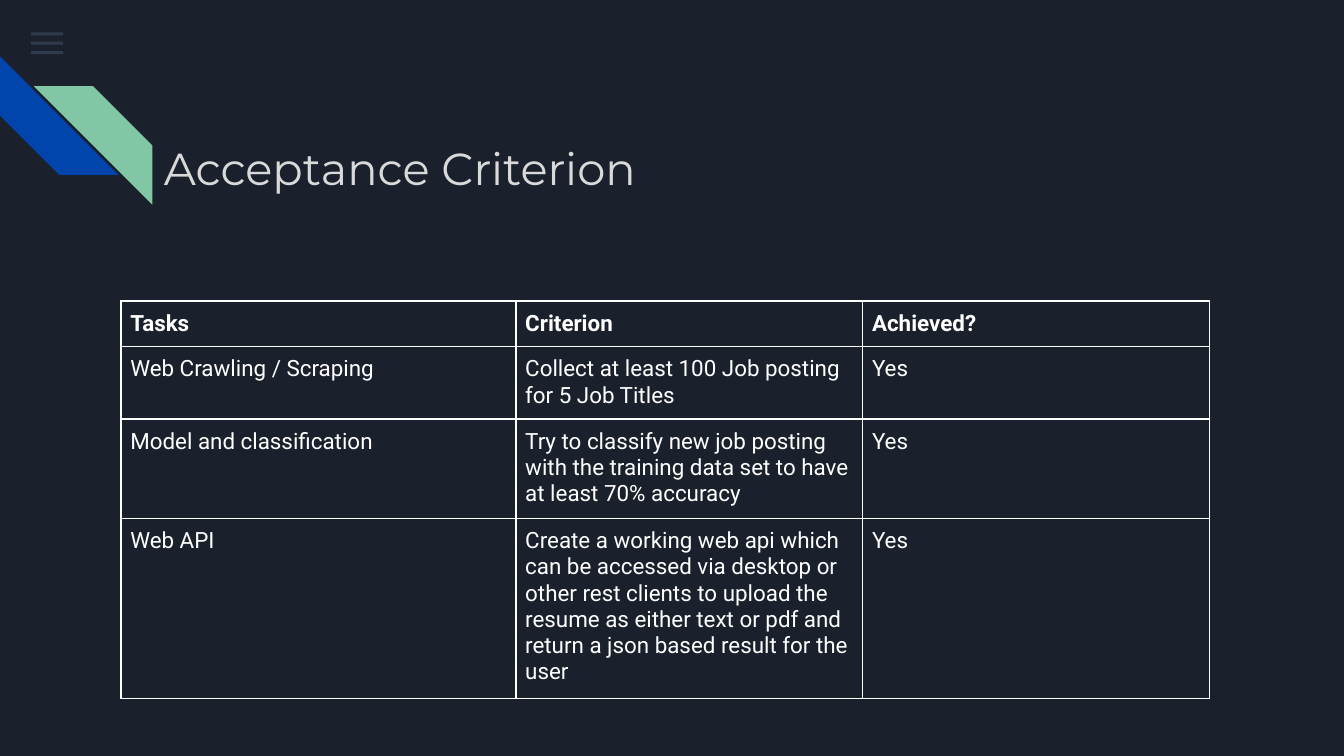
from dataclasses import dataclass

from lxml.etree import SubElement
from pptx import Presentation
from pptx.dml.color import RGBColor
from pptx.enum.shapes import MSO_SHAPE
from pptx.oxml.ns import qn
from pptx.util import Pt

RECT = MSO_SHAPE.RECTANGLE
STRIPE = MSO_SHAPE.DIAGONAL_STRIPE

HUES = {
    "back": "1B212C",
    "menu": "55688B",
    "blue": "0145AC",
    "green": "82C7A5",
    "title": "D9D9D9",
    "white": "FFFFFF",
}
HEAD = {"name": "Montserrat", "size": Pt(24), "bold": False}
BODY = {"name": "Roboto", "size": Pt(12), "bold": False}
BOLD = {**BODY, "bold": True}
SIDES = ("left", "right", "top", "bottom")
EDGES = ("a:lnL", "a:lnR", "a:lnT", "a:lnB")

WIDTHS = (211.6, 185.8, 185.8)
HEIGHTS = (24, 38, 52, 94)
ROWS = (
    ("Tasks", "Criterion", "Achieved?"),
    ("Web Crawling / Scraping",
     "Collect at least 100 Job posting for 5 Job Titles", "Yes"),
    ("Model and classification",
     "Try to classify new job posting with the training data set to have "
     "at least 70% accuracy", "Yes"),
    ("Web API",
     "Create a working web api which can be accessed via desktop or other "
     "rest clients to upload the resume as either text or pdf and return a "
     "json based result for the user", "Yes"),
)


@dataclass
class Form:
    kind: int
    left: float
    top: float
    width: float
    height: float
    hue: str
    turn: int = 0
    flip: bool = False
    alpha: int = 100


FORMS = [Form(RECT, 16.6, 17.4 + 5 * i, 17.3, 1.6, "menu", alpha=36)
         for i in range(3)]
FORMS += [
    Form(STRIPE, 0, 30.2, 63.5, 63.5, "blue", turn=270),
    Form(STRIPE, 18.2, 46.2, 63.5, 63.5, "green", flip=True),
]


def color(hue: str) -> RGBColor:
    return RGBColor.from_string(HUES[hue])


def style(font, form: dict, hue: str) -> None:
    for name, value in form.items():
        setattr(font, name, value)
    font.color.rgb = color(hue)


def pad(frame, sizes: tuple) -> None:
    for side, size in zip(SIDES, sizes):
        setattr(frame, f"margin_{side}", Pt(size))


def draw(slide, form: Form) -> None:
    shape = slide.shapes.add_shape(
        form.kind, Pt(form.left), Pt(form.top), Pt(form.width), Pt(form.height))
    shape.shadow.inherit = False
    shape.line.fill.background()
    shape.fill.solid()
    shape.fill.fore_color.rgb = color(form.hue)
    shape.rotation = form.turn
    props = shape._element.spPr
    if form.flip:
        props.find(qn("a:xfrm")).set("flipH", "1")
    if form.alpha < 100:
        tint = props.find(qn("a:solidFill")).find(qn("a:srgbClr"))
        SubElement(tint, qn("a:alpha"), val=str(form.alpha * 1000))


def title(slide, text: str) -> None:
    box = slide.shapes.add_textbox(Pt(44.6), Pt(54), Pt(590.4), Pt(327.6))
    frame = box.text_frame
    frame.word_wrap = True
    pad(frame, (43.2, 7.2, 7.2, 7.2))
    para = frame.paragraphs[0]
    para.line_spacing = 1.5
    run = para.add_run()
    run.text = text
    style(run.font, HEAD, "title")


def border(cell) -> None:
    props = cell._tc.get_or_add_tcPr()
    for spot, edge in enumerate(EDGES):
        line = SubElement(props, qn(edge), w=str(Pt(1)))
        fill = SubElement(line, qn("a:solidFill"))
        SubElement(fill, qn("a:srgbClr"), val=HUES["white"])
        props.insert(spot, line)


def grid(slide) -> None:
    table = slide.shapes.add_table(
        len(ROWS), len(WIDTHS), Pt(64.8), Pt(161.3),
        Pt(sum(WIDTHS)), Pt(sum(HEIGHTS))).table
    table.first_row = table.horz_banding = False
    for column, width in zip(table.columns, WIDTHS):
        column.width = Pt(width)
    for r, (texts, height) in enumerate(zip(ROWS, HEIGHTS)):
        table.rows[r].height = Pt(height)
        for c, text in enumerate(texts):
            cell = table.cell(r, c)
            cell.fill.background()
            pad(cell, (5, 5, 5, 5))
            border(cell)
            run = cell.text_frame.paragraphs[0].add_run()
            run.text = text
            style(run.font, BODY if r else BOLD, "white")


def main() -> None:
    deck = Presentation()
    deck.slide_width, deck.slide_height = Pt(720), Pt(405)
    slide = deck.slides.add_slide(deck.slide_layouts[6])
    back = slide.background.fill
    back.solid()
    back.fore_color.rgb = color("back")
    for form in FORMS:
        draw(slide, form)
    title(slide, "Acceptance Criterion")
    grid(slide)
    deck.save("out.pptx")


if __name__ == "__main__":
    main()
